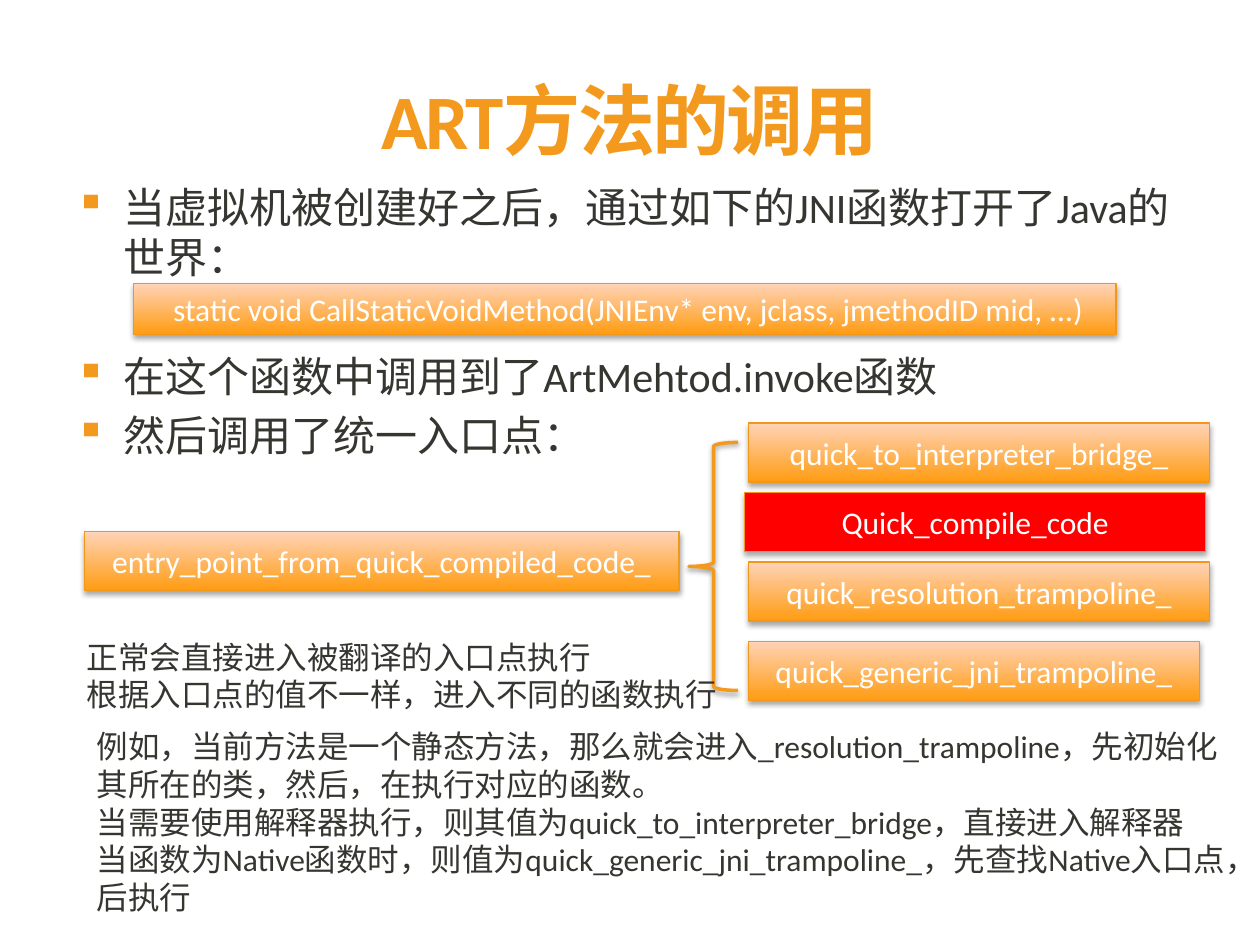
"""Build the slide on how ART invokes a method."""
from lxml import etree
from pptx import Presentation
from pptx import util as u
from pptx.dml import color
from pptx.enum import shapes, text
from pptx.oxml import ns

COLORS = {"accent": "F39A1E", "edge": "F39718", "deep": "FF9C12", "pale": "FFD3B7",
          "hot": "FF0000", "body": "353630", "light": "FFFFFF", "shadow": "000000"}
FONT = "Calibri"

STEPS = [("当虚拟机被创建好之后，通过如下的JNI函数打开了Java的世界：", 4.8),
         ("在这个函数中调用到了ArtMehtod.invoke函数", 39),
         ("然后调用了统一入口点：", 4.8)]
ENTRY_TARGETS = [("quick_to_interpreter_bridge_", (15.09, 8.53, 9.3, 1.19), False),
                 ("quick_resolution_trampoline_", (15.09, 11.33, 9.3, 1.19), False),
                 ("quick_generic_jni_trampoline_", (15.09, 12.93, 9.09, 1.19), False),
                 ("Quick_compile_code", (15.01, 9.93, 9.3, 1.19), True)]
RULE = ["正常会直接进入被翻译的入口点执行",
        "根据入口点的值不一样，进入不同的函数执行"]
EXAMPLES = ["例如，当前方法是一个静态方法，那么就会进入_resolution_trampoline，先初始化其所在的类，然后，在执行对应的函数。",
            "当需要使用解释器执行，则其值为quick_to_interpreter_bridge，直接进入解释器",
            "当函数为Native函数时，则值为quick_generic_jni_trampoline_，先查找Native入口点，后执行"]


def rgb(name):
    return color.RGBColor.from_string(COLORS[name])


def cm(box):
    return [u.Cm(value) for value in box]


def apply(target, values):
    for name, value in values.items():
        setattr(target, name, value)


def write(paragraph, words, size, ink, bold=False, **layout):
    run = paragraph.add_run()
    run.text = words
    apply(run.font, {"name": FONT, "size": u.Pt(size), "bold": bold})
    run.font.color.rgb = rgb(ink)
    apply(paragraph, layout)
    return run


def write_lines(frame, lines, size):
    """Write (words, space before) pairs and return their paragraphs."""
    apply(frame, {"word_wrap": True, "auto_size": text.MSO_AUTO_SIZE.NONE,
                  "vertical_anchor": text.MSO_ANCHOR.TOP})
    for index, (words, gap) in enumerate(lines):
        paragraph = frame.add_paragraph() if index else frame.paragraphs[0]
        write(paragraph, words, size, "body", space_before=u.Pt(gap))
    return frame.paragraphs


def add_bullet(paragraph):
    props = paragraph.runs[0].font._element.getparent().getparent().get_or_add_pPr()
    indent = u.Cm(0.97)
    props.set("marL", str(indent))
    props.set("indent", str(-indent))
    tint = etree.SubElement(props, ns.qn("a:buClr"))
    etree.SubElement(tint, ns.qn("a:srgbClr"), val=COLORS["accent"])
    etree.SubElement(props, ns.qn("a:buChar"), char="▪")


def add_shadow(shape, opacity, distance):
    shape.shadow.inherit = False
    effects = shape._element.spPr.find(ns.qn("a:effectLst"))
    shadow = etree.SubElement(effects, ns.qn("a:outerShdw"), blurRad=str(u.Pt(3.1)),
                              dist=str(u.Pt(distance)), dir="5400000", rotWithShape="0")
    tint = etree.SubElement(shadow, ns.qn("a:srgbClr"), val=COLORS["shadow"])
    etree.SubElement(tint, ns.qn("a:alpha"), val=str(opacity * 1000))


def add_title(slide, words):
    title = slide.shapes.title
    apply(title, dict(zip(("left", "top", "width", "height"), cm((1.27, 1.7, 22.86, 3.15)))))
    apply(title.text_frame, {"vertical_anchor": text.MSO_ANCHOR.TOP, "word_wrap": True})
    run = write(title.text_frame.paragraphs[0], words, 44, "accent", bold=True,
                alignment=text.PP_ALIGN.CENTER, line_spacing=0.8)
    run.font._element.set("spc", "-150")


def add_steps(slide):
    frame = slide.shapes.add_textbox(*cm((1.27, 3.53, 22.86, 13.23))).text_frame
    for paragraph in write_lines(frame, STEPS, 24):
        add_bullet(paragraph)


def add_note(slide, lines, box):
    frame = slide.shapes.add_textbox(*cm(box)).text_frame
    write_lines(frame, [(line, 0) for line in lines], 18)


def add_code_box(slide, words, box, hot=False):
    code = slide.shapes.add_shape(shapes.MSO_SHAPE.RECTANGLE, *cm(box))
    if hot:
        code.fill.solid()
        code.fill.fore_color.rgb = rgb("hot")
    else:
        code.fill.gradient()
        code.fill.gradient_angle = 90
        for stop, name in zip(code.fill.gradient_stops, ("deep", "pale")):
            stop.color.rgb = rgb(name)
    code.line.color.rgb = rgb("edge")
    code.line.width = u.Pt(0.75)
    add_shadow(code, 35, 1.8)
    code.text_frame.vertical_anchor = text.MSO_ANCHOR.MIDDLE
    write(code.text_frame.paragraphs[0], words, 18, "light",
          alignment=text.PP_ALIGN.CENTER)


def add_brace(slide, box):
    brace = slide.shapes.add_shape(shapes.MSO_SHAPE.LEFT_BRACE, *cm(box))
    brace.fill.background()
    brace.line.color.rgb = rgb("accent")
    brace.line.width = u.Pt(2)
    add_shadow(brace, 38, 1.6)


def main():
    deck = Presentation()
    apply(deck, {"slide_width": u.Cm(25.4), "slide_height": u.Cm(19.05)})
    slide = deck.slides.add_slide(deck.slide_layouts.get_by_name("Title Only"))
    add_title(slide, "ART方法的调用")
    add_steps(slide)
    add_code_box(slide, " static void CallStaticVoidMethod(JNIEnv* env, jclass, jmethodID mid, ...)",
                 (2.69, 5.72, 19.81, 1.02))
    add_code_box(slide, "entry_point_from_quick_compiled_code_", (1.7, 10.72, 11.99, 1.19))
    for words, box, hot in ENTRY_TARGETS:
        add_code_box(slide, words, box, hot)
    add_brace(slide, (13.89, 8.92, 0.99, 5))
    add_note(slide, EXAMPLES, (1.7, 14.53, 23.29, 4.88))
    add_note(slide, RULE, (1.5, 12.73, 13.34, 3.33))
    deck.save("out.pptx")


if __name__ == "__main__":
    main()
